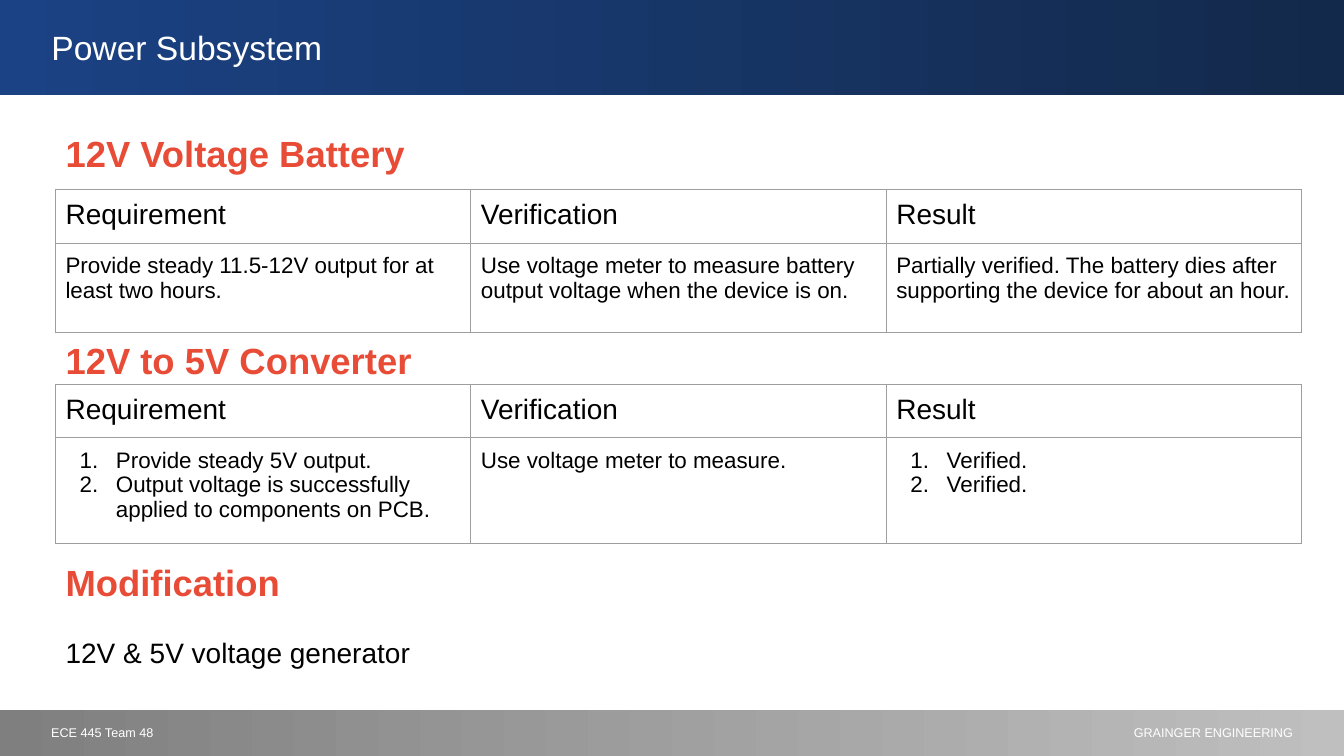
import pptx
import pptx.dml.color
import pptx.enum.shapes
import pptx.enum.text
import pptx.oxml
import pptx.oxml.ns
import pptx.util

Inches = pptx.util.Inches
Pt = pptx.util.Pt
Align = pptx.enum.text.PP_ALIGN

COLORS = {
    "heading": "E84B36",
    "text": "000000",
    "light": "FFFFFF",
    "border": "9E9E9E",
    "header_start": "1B4284",
    "header_end": "13294B",
    "footer_start": "7F7F7F",
    "footer_end": "BFBFBF",
}
HEADINGS = ["Requirement", "Verification", "Result"]


def color(name):
    return pptx.dml.color.RGBColor.from_string(COLORS[name])


def element(xml):
    namespace = pptx.oxml.ns.nsdecls("a")
    return pptx.oxml.parse_xml(xml.replace(" ", f" {namespace} ", 1))


class SlideBuilder:
    font_name = "Arial"

    def __init__(self, presentation):
        layout = presentation.slide_layouts[1]
        self.slide = presentation.slides.add_slide(layout)
        self.shapes = self.slide.shapes

    def format(self, paragraph, size, color_name, bold=False, align=Align.LEFT):
        paragraph.alignment = align
        paragraph.line_spacing = 1.0
        paragraph.font.name = self.font_name
        paragraph.font.size = Pt(size)
        paragraph.font.bold = bold
        paragraph.font.color.rgb = color(color_name)

    def place(self, shape, left, top, width, height):
        shape.left, shape.top = Inches(left), Inches(top)
        shape.width, shape.height = Inches(width), Inches(height)

    def band(self, top, height, start, end):
        shape = self.shapes.add_shape(
            pptx.enum.shapes.MSO_SHAPE.RECTANGLE,
            Inches(0), Inches(top), Inches(13.33), Inches(height))
        shape.shadow.inherit = False
        shape.line.fill.background()
        shape.fill.gradient()
        shape.fill.gradient_angle = 0
        for stop, name in zip(shape.fill.gradient_stops, (start, end)):
            stop.color.rgb = color(name)
        self.shapes._spTree.insert(2, shape._element)

    def title(self, text):
        shape = self.shapes.title
        self.place(shape, 0.41, 0.22, 11.93, 0.5)
        shape.text_frame.text = text
        self.format(shape.text_frame.paragraphs[0], 24, "light")

    def body(self, items):
        shape = self.slide.placeholders[1]
        self.place(shape, 0.55, 1.25, 12.22, 5.71)
        frame = shape.text_frame
        frame.auto_size = pptx.enum.text.MSO_AUTO_SIZE.NONE
        frame.text = "\n".join(text for text, *_ in items)
        for paragraph, (_, size, name, bold, space) in zip(frame.paragraphs, items):
            properties = paragraph._p.get_or_add_pPr()
            properties.set("marL", "0")
            properties.set("indent", "0")
            properties.append(element("<a:buNone />"))
            self.format(paragraph, size, name, bold)
            paragraph.space_before = Pt(space)

    def footer(self, text, left, width, align):
        box = self.shapes.add_textbox(
            Inches(left), Inches(7.14), Inches(width), Inches(0.25))
        box.text_frame.word_wrap = True
        box.text_frame.text = text
        self.format(box.text_frame.paragraphs[0], 9, "light", align=align)

    def number(self, paragraph):
        properties = paragraph._p.get_or_add_pPr()
        properties.set("marL", str(Inches(0.5)))
        properties.set("indent", str(Inches(-0.36)))
        properties.append(element(
            f'<a:buClr ><a:srgbClr val="{COLORS["text"]}"/></a:buClr>'))
        properties.append(element('<a:buAutoNum type="arabicPeriod"/>'))

    def cell(self, cell, content, size):
        numbered = isinstance(content, list)
        cell.text = "\n".join(content) if numbered else content
        cell.margin_left = cell.margin_right = Inches(0.1)
        cell.margin_top = cell.margin_bottom = Inches(0.1)
        for paragraph in cell.text_frame.paragraphs:
            if numbered:
                self.number(paragraph)
            self.format(paragraph, size, "text")
        properties = cell._tc.get_or_add_tcPr()
        for side in "LRTB":
            properties.append(element(
                f'<a:ln{side} w="{Pt(0.75)}"><a:solidFill>'
                f'<a:srgbClr val="{COLORS["border"]}"/>'
                f'</a:solidFill></a:ln{side}>'))
        cell.fill.background()

    def table(self, top, heights, details):
        frame = self.shapes.add_table(
            2, 3, Inches(0.55), Inches(top), Inches(12.36), Inches(sum(heights)))
        table = frame.table
        table.first_row = table.horz_banding = False
        for column in table.columns:
            column.width = Inches(4.12)
        for row, height, contents, size in zip(
                table.rows, heights, (HEADINGS, details), (20, 16)):
            row.height = Inches(height)
            for cell, content in zip(row.cells, contents):
                self.cell(cell, content, size)


def main():
    presentation = pptx.Presentation()
    presentation.slide_width = Inches(13.33)
    presentation.slide_height = Inches(7.5)
    builder = SlideBuilder(presentation)
    builder.band(7.04, 0.46, "footer_start", "footer_end")
    builder.band(-0.01, 0.95, "header_start", "header_end")
    builder.title("Power Subsystem")
    builder.body([
        ("12V Voltage Battery", 26, "heading", True, 0),
        ("12V to 5V Converter", 26, "heading", True, 117),
        ("Modification", 26, "heading", True, 127),
        ("12V & 5V voltage generator", 20, "text", False, 23),
    ])
    builder.footer("ECE 445 Team 48", 0.41, 8.74, Align.LEFT)
    builder.footer("GRAINGER ENGINEERING", 10.21, 2.71, Align.RIGHT)
    builder.table(1.88, (0.53, 0.88), [
        "Provide steady 11.5-12V output for at least two hours.",
        "Use voltage meter to measure battery output voltage when the device is on.",
        "Partially verified. The battery dies after supporting the device for about an hour.",
    ])
    builder.table(3.81, (0.53, 1.05), [
        ["Provide steady 5V output.",
         "Output voltage is successfully applied to components on PCB."],
        "Use voltage meter to measure.",
        ["Verified.", "Verified."],
    ])
    presentation.save("out.pptx")


if __name__ == "__main__":
    main()
